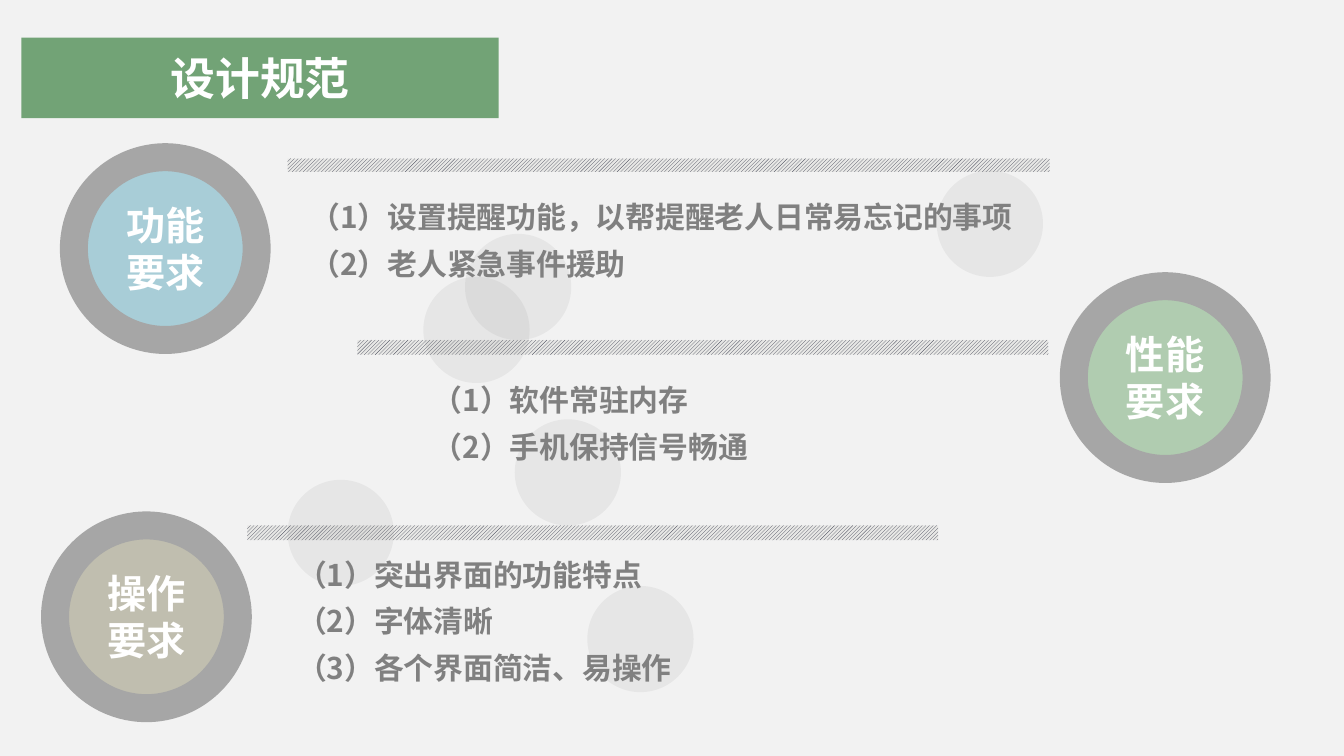
from lxml.etree import SubElement
from pptx import Presentation
from pptx.dml.color import RGBColor
from pptx.enum.dml import MSO_PATTERN
from pptx.enum.shapes import MSO_SHAPE
from pptx.enum.text import MSO_ANCHOR, MSO_AUTO_SIZE, PP_ALIGN
from pptx.oxml.ns import qn
from pptx.util import Inches, Pt

FONT = "Noto Sans CJK SC"
WHITE, GRAY, RING = "FFFFFF", "808080", "A6A6A6"
BADGE_SIZE, BUBBLE_SIZE = 1.36, 0.79
LINE_BREAK, NEW_PARAGRAPH = "\v", "\n"

BARS = [(2.14, 1.18, 5.67, 0.1), (2.66, 2.53, 5.14, 0.11), (1.84, 3.91, 5.14, 0.11)]
BADGES = [
    (0.55, 1.17, "A8CDD7", "功能要求"),
    (7.99, 2.13, "B0CCB0", "性能要求"),
    (0.41, 3.91, "C0BEAF", "操作要求"),
]
REQUIREMENTS = [
    ((2.24, 1.36, 5.52, 0.77), LINE_BREAK,
     ["设置提醒功能，以帮提醒老人日常易忘记的事项", "老人紧急事件援助"]),
    ((3.15, 2.72, 4.17, 0.77), NEW_PARAGRAPH, ["软件常驻内存", "手机保持信号畅通"]),
    ((2.14, 4.02, 4.84, 1.12), NEW_PARAGRAPH,
     ["突出界面的功能特点", "字体清晰", "各个界面简洁、易操作"]),
]
BUBBLES = [(3.15, 2.06), (2.14, 3.57), (3.83, 3.12),
           (3.46, 1.74), (4.37, 4.36), (6.97, 1.27)]


def color(value):
    """Turn a hex string into a colour."""
    return RGBColor.from_string(value)


def set_solid(fill, value):
    """Give a fill one plain colour."""
    fill.solid()
    fill.fore_color.rgb = color(value)


def set_text(shape, text, size, value, align, anchor, spacing=1.0):
    """Write bold text into a shape."""
    frame = shape.text_frame
    frame_format = {
        "word_wrap": True, "auto_size": MSO_AUTO_SIZE.NONE, "vertical_anchor": anchor,
        "margin_left": Inches(0.07), "margin_right": Inches(0.07),
        "margin_top": Inches(0.04), "margin_bottom": Inches(0.04),
    }
    for name, setting in frame_format.items():
        setattr(frame, name, setting)
    frame.text = text
    for paragraph in frame.paragraphs:
        paragraph.alignment = align
        paragraph.line_spacing = spacing
        for run in paragraph.runs:
            for name, setting in {"name": FONT, "size": Pt(size), "bold": True}.items():
                setattr(run.font, name, setting)
            run.font.color.rgb = color(value)
            SubElement(run.font._element, qn("a:ea"), typeface=FONT)


def add_plain_shape(slide, kind, box):
    """Add a preset shape without shadow or outline."""
    shape = slide.shapes.add_shape(kind, *map(Inches, box))
    shape.shadow.inherit = False
    shape.line.fill.background()
    return shape


def add_title(slide, box, text):
    """Place the title as a green banner."""
    title = slide.shapes.title
    for name, length in zip(("left", "top", "width", "height"), box):
        setattr(title, name, Inches(length))
    set_solid(title.fill, "72A376")
    set_text(title, text, 24, WHITE, PP_ALIGN.CENTER, MSO_ANCHOR.MIDDLE)


def add_hatched_bar(slide, box):
    """Add a thin bar with diagonal hatching."""
    fill = add_plain_shape(slide, MSO_SHAPE.RECTANGLE, box).fill
    fill.patterned()
    fill.pattern = MSO_PATTERN.LIGHT_UPWARD_DIAGONAL
    fill.fore_color.rgb = color("414455")
    fill.back_color.rgb = color("E8E8E6")


def add_badge(slide, left, top, value, label):
    """Add a labelled circle with a thick gray ring."""
    badge = add_plain_shape(slide, MSO_SHAPE.OVAL, (left, top, BADGE_SIZE, BADGE_SIZE))
    set_solid(badge.fill, value)
    set_solid(badge.line.fill, RING)
    badge.line.width = Pt(15)
    set_text(badge, label, 21, WHITE, PP_ALIGN.CENTER, MSO_ANCHOR.MIDDLE)


def add_requirements(slide, box, separator, items):
    """Add a numbered list of requirements."""
    text_box = slide.shapes.add_textbox(*map(Inches, box))
    text = separator.join(f"（{number}）{item}" for number, item in enumerate(items, 1))
    set_text(text_box, text, 16, GRAY, PP_ALIGN.LEFT, MSO_ANCHOR.TOP, 1.3)
    text_box.text_frame.auto_size = MSO_AUTO_SIZE.SHAPE_TO_FIT_TEXT


def add_bubble(slide, left, top):
    """Add a faint see-through circle."""
    bubble = add_plain_shape(slide, MSO_SHAPE.OVAL, (left, top, BUBBLE_SIZE, BUBBLE_SIZE))
    set_solid(bubble.fill, GRAY)
    fill_color = bubble._element.spPr.find(qn("a:solidFill")).find(qn("a:srgbClr"))
    SubElement(fill_color, qn("a:alpha"), val="10000")


def main():
    """Build and save the design requirements slide."""
    presentation = Presentation()
    presentation.slide_width = Inches(10)
    presentation.slide_height = Inches(10 * 9 / 16)
    slide = presentation.slides.add_slide(presentation.slide_layouts[5])
    set_solid(slide.background.fill, "F2F2F2")
    add_title(slide, (0.16, 0.28, 3.55, 0.6), "设计规范")
    for box in BARS:
        add_hatched_bar(slide, box)
    for badge in BADGES:
        add_badge(slide, *badge)
    for requirement in REQUIREMENTS:
        add_requirements(slide, *requirement)
    for bubble in BUBBLES:
        add_bubble(slide, *bubble)
    presentation.save("out.pptx")


main()
